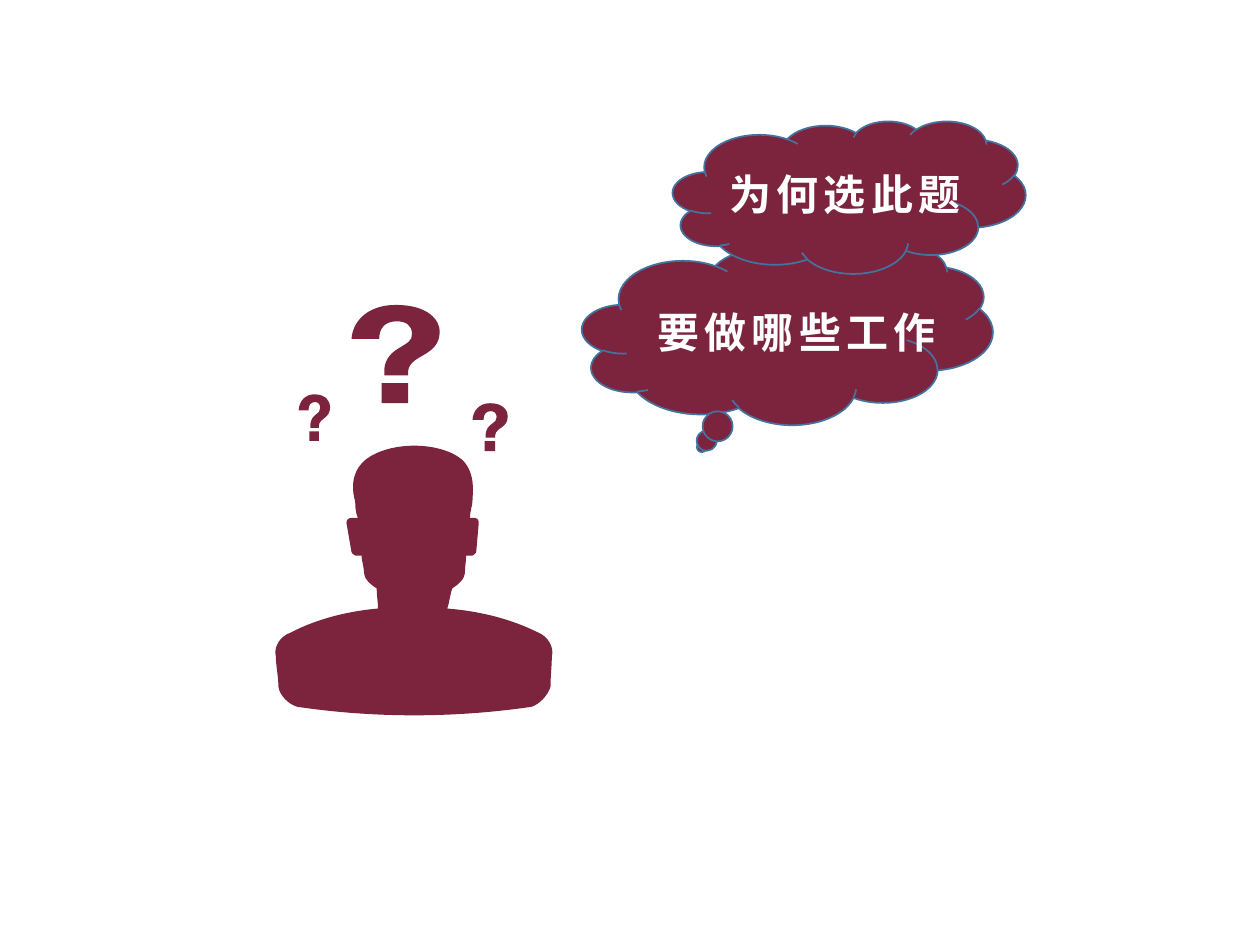
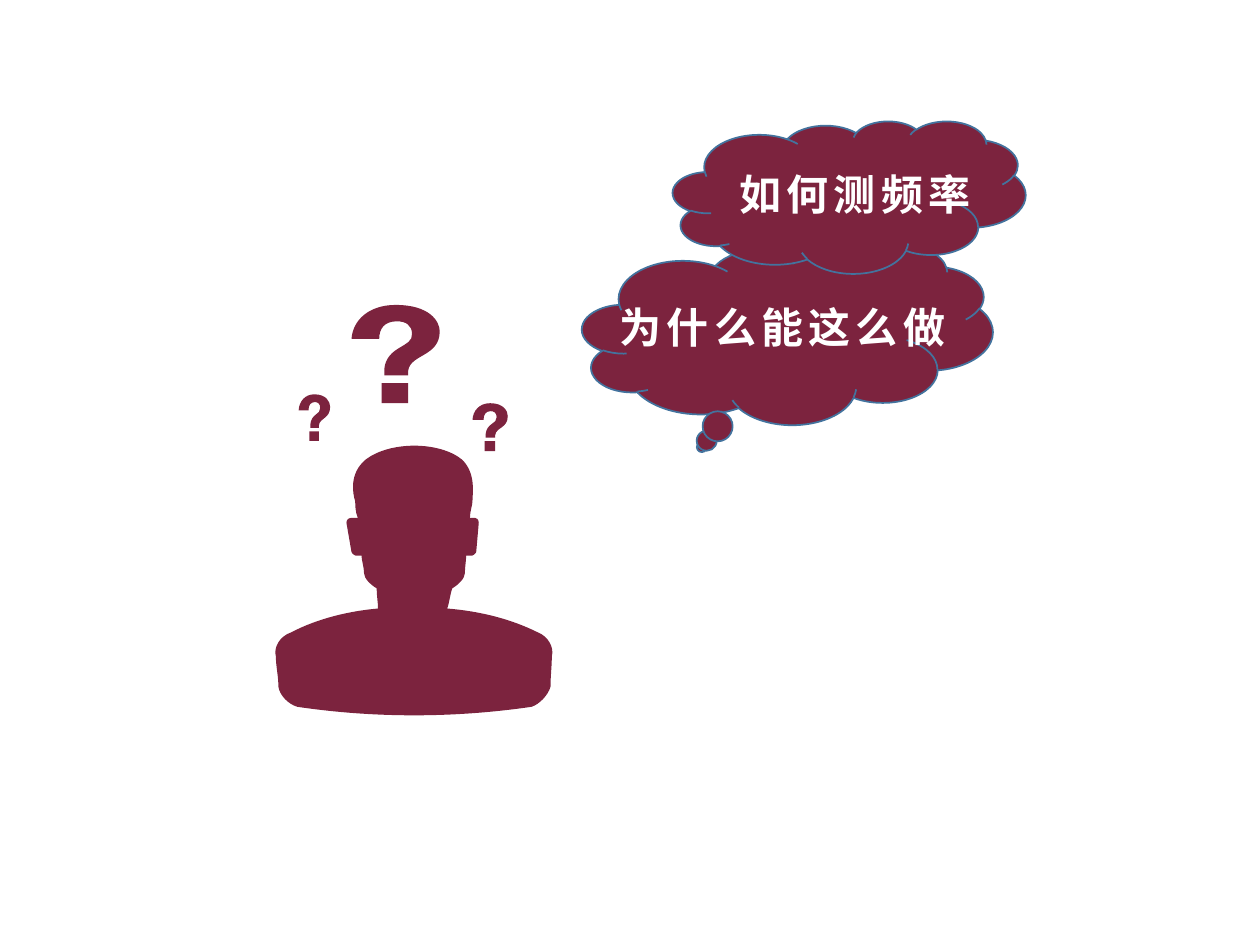
from lxml import etree
from pptx import Presentation
from pptx.dml.color import RGBColor
from pptx.enum.shapes import MSO_SHAPE as SHAPE
from pptx.enum.text import MSO_AUTO_SIZE as AUTO_SIZE
from pptx.oxml.ns import qn
from pptx.util import Inches, Pt

WINE = "7C233E"
OUTLINE = "43739E"
WHITE = "FFFFFF"
FONT = "Noto Sans CJK SC"

BUST_SIZE = (2.23, 2.2)
BUST = [[
    (2.1, 1.52),
    (1.88, 1.41, 1.63, 1.35, 1.38, 1.33),
    (1.4, 1.27, 1.4, 1.23, 1.42, 1.17),
    (1.47, 1.14, 1.52, 1.09, 1.52, 1.05),
    (1.52, 1.0, 1.53, 0.95, 1.53, 0.91),
    (1.53, 0.91, 1.55, 0.91, 1.56, 0.91),
    (1.58, 0.92, 1.61, 0.89, 1.61, 0.88),
    (1.63, 0.65),
    (1.63, 0.62, 1.61, 0.61, 1.6, 0.61),
    (1.56, 0.61),
    (1.56, 0.56, 1.58, 0.51, 1.58, 0.48),
    (1.58, 0.42, 1.61, 0.26, 1.5, 0.15),
    (1.32, 0, 0.92, 0, 0.73, 0.15),
    (0.6, 0.26, 0.63, 0.42, 0.65, 0.48),
    (0.65, 0.51, 0.65, 0.56, 0.67, 0.61),
    (0.63, 0.61),
    (0.6, 0.61, 0.58, 0.62, 0.58, 0.65),
    (0.62, 0.88),
    (0.62, 0.89, 0.65, 0.92, 0.67, 0.91),
    (0.7, 0.91),
    (0.7, 0.95, 0.72, 1.0, 0.72, 1.05),
    (0.72, 1.09, 0.77, 1.14, 0.82, 1.17),
    (0.82, 1.23, 0.83, 1.27, 0.83, 1.33),
    (0.6, 1.35, 0.35, 1.41, 0.14, 1.52),
    (0.05, 1.55, 0, 1.64, 0.02, 1.71),
    (0.02, 1.79, 0.04, 1.86, 0.04, 1.95),
    (0.05, 2.02, 0.12, 2.09, 0.19, 2.11),
    (0.8, 2.2, 1.43, 2.2, 2.05, 2.11),
    (2.11, 2.09, 2.18, 2.02, 2.2, 1.95),
    (2.2, 1.86, 2.21, 1.79, 2.21, 1.71),
    (2.23, 1.64, 2.18, 1.55, 2.1, 1.52),
]]

QUESTION_SIZE = (0.7, 0.78)
QUESTION = [
    [
        (0, 0.27),
        (0.01, 0.12, 0.14, 0, 0.35, 0),
        (0.62, 0, 0.7, 0.13, 0.7, 0.21),
        (0.7, 0.41, 0.47, 0.39, 0.45, 0.52),
        (0.45, 0.56), (0.26, 0.56), (0.26, 0.51),
        (0.28, 0.32, 0.49, 0.34, 0.48, 0.23),
        (0.48, 0.16, 0.43, 0.13, 0.36, 0.13),
        (0.26, 0.13, 0.22, 0.19, 0.22, 0.27),
        (0, 0.27),
    ],
    [(0.24, 0.62), (0.45, 0.62), (0.45, 0.78), (0.24, 0.78), (0.24, 0.62)],
]

SLIDES = [
    [("为何选此题", 0.35, 0.33, 2.1), ("要做哪些工作", 0.5, 0.44, 2.47)],
    [("如何测频率", 0.43, 0.33, 2.1), ("为什么能这么做", 0.2, 0.4, 2.85)],
]


def rgb(value):
    """Turn a hex string into a colour."""
    return RGBColor.from_string(value)


def style(sp, line=None):
    """Fill a shape with wine red and give it an optional outline."""
    sp.shadow.inherit = False
    sp.fill.solid()
    sp.fill.fore_color.rgb = rgb(WINE)
    if line:
        sp.line.color.rgb = rgb(line)
        sp.line.width = Pt(1)
    else:
        sp.line.fill.background()


def add_segment(outline, tag, coords):
    """Append one drawing command with its points in inches."""
    command = etree.SubElement(outline, qn(tag))
    for x, y in zip(coords[::2], coords[1::2]):
        etree.SubElement(command, qn("a:pt"),
                         x=str(Inches(x)), y=str(Inches(y)))


def add_outline(slide, contours, size, left, top, width, height):
    """Draw closed contours of lines and curves, scaled into a box."""
    builder = slide.shapes.build_freeform()
    builder.add_line_segments([(Inches(size[0]), Inches(size[1]))])
    sp = builder.convert_to_shape()
    sp.left, sp.top = Inches(left), Inches(top)
    sp.width, sp.height = Inches(width), Inches(height)
    outline = sp._element.find(".//" + qn("a:path"))
    for command in list(outline):
        outline.remove(command)
    for start, *segments in contours:
        add_segment(outline, "a:moveTo", start)
        for coords in segments:
            tag = "a:lnTo" if len(coords) == 2 else "a:cubicBezTo"
            add_segment(outline, tag, coords)
        add_segment(outline, "a:close", ())
    style(sp)


def add_thinker(slide, left, top):
    """Draw the bust with three question marks above it."""
    add_outline(slide, BUST, BUST_SIZE, left, top + 1.08, *BUST_SIZE)
    for dx, dy, width, height in [(1.58, 0.78, 0.28, 0.38),
                                  (0.62, 0, 0.7, 0.78),
                                  (0.2, 0.71, 0.25, 0.37)]:
        add_outline(slide, QUESTION, QUESTION_SIZE,
                    left + dx, top + dy, width, height)


def add_cloud(slide, kind, left, top, width, height):
    """Draw one outlined cloud."""
    sp = slide.shapes.add_shape(kind, Inches(left), Inches(top),
                                Inches(width), Inches(height))
    style(sp, OUTLINE)


def add_thought(slide, text, left, top, width):
    """Write one spaced bold line of white text."""
    tf = slide.shapes.add_textbox(Inches(left), Inches(top),
                                  Inches(width), Inches(0.5)).text_frame
    tf.word_wrap = False
    tf.auto_size = AUTO_SIZE.SHAPE_TO_FIT_TEXT
    r = tf.paragraphs[0].add_run()
    r.text = text
    r.font.size = Pt(24)
    r.font.bold = True
    r.font.name = FONT
    r.font.color.rgb = rgb(WHITE)
    props = r.font._element
    props.set("spc", "300")
    etree.SubElement(props, qn("a:ea")).set("typeface", FONT)


def add_thoughts(slide, thoughts, left, top):
    """Stack two clouds and write a thought on each."""
    clouds = [(SHAPE.CLOUD, left + 0.72, top, 2.8, 1.21),
              (SHAPE.CLOUD_CALLOUT, left, top + 0.98, 3.26, 1.43)]
    for cloud in reversed(clouds):
        add_cloud(slide, *cloud)
    for (text, dx, dy, width), (_, x, y, *_) in zip(thoughts, clouds):
        add_thought(slide, text, x + dx, y + dy, width)


def main():
    """Build both slides and save them."""
    prs = Presentation()
    prs.slide_width, prs.slide_height = Inches(10), Inches(7.5)
    for thoughts in SLIDES:
        slide = prs.slides.add_slide(prs.slide_layouts[6])
        add_thinker(slide, 2.17, 2.42)
        add_thoughts(slide, thoughts, 4.62, 0.96)
    prs.save("out.pptx")


if __name__ == "__main__":
    main()
